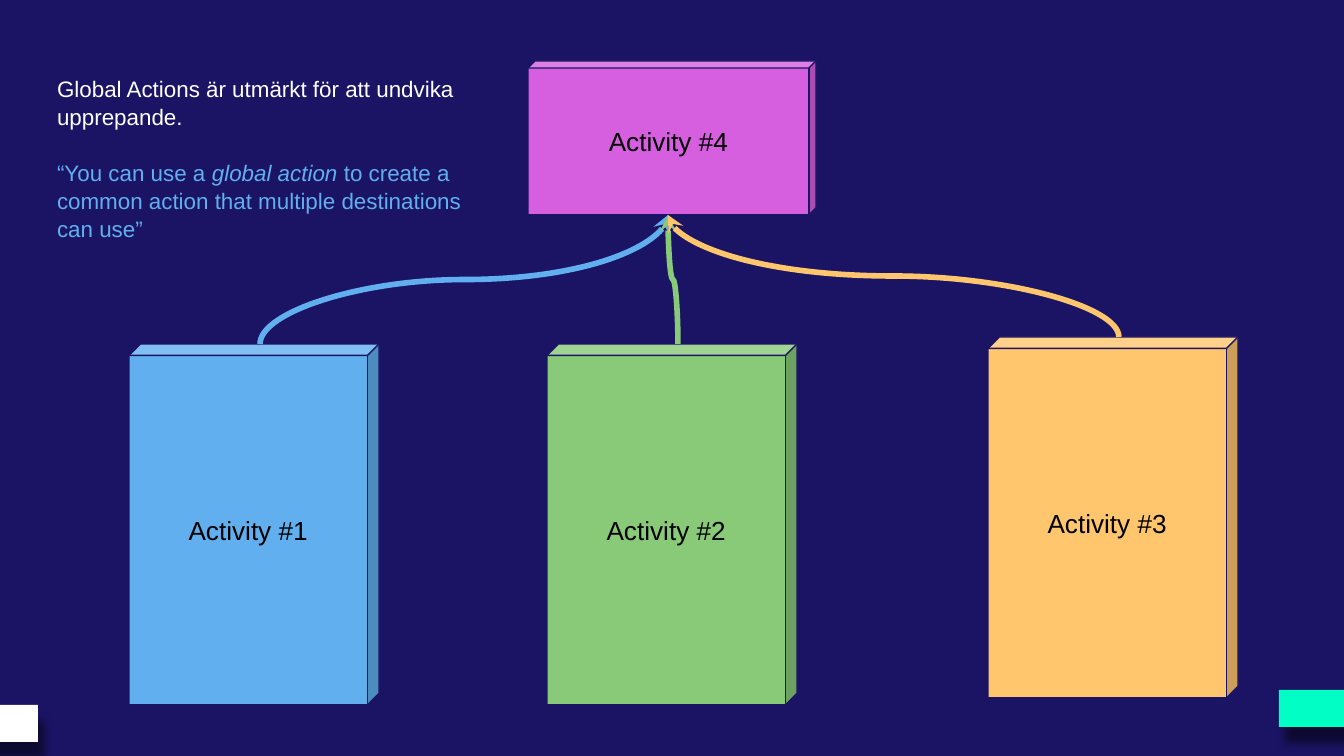
from dataclasses import dataclass

from lxml import etree
from pptx import Presentation
from pptx.dml.color import RGBColor
from pptx.enum import shapes, text
from pptx.oxml import ns
from pptx.util import Pt

EMU_PER_PX = 9144000 / 1344
CUBE_DEPTH = 0.046


@dataclass(frozen=True)
class Theme:
    font: str = "Arial"
    label_size: int = 14
    note_size: int = 12
    navy: str = "1B1464"
    mint: str = "00FFC5"
    white: str = "FFFFFF"
    black: str = "000000"
    blue: str = "61AFEF"
    orange: str = "FFC66D"
    green: str = "89CA78"
    violet: str = "D55FDE"


THEME = Theme()


def px(length):
    return round(length * EMU_PER_PX)


def paint(fill, color):
    fill.solid()
    fill.fore_color.rgb = RGBColor.from_string(color)


def add_child(parent, tag, **attributes):
    return etree.SubElement(parent, ns.qn(tag), attributes)


def add_span(para, words, size, color, italic=False):
    span = para.add_run()
    span.text = words
    span.font.name = THEME.font
    span.font.size = Pt(size)
    span.font.italic = italic
    span.font.color.rgb = RGBColor.from_string(color)


def set_insets(frame):
    frame.word_wrap = True
    frame.margin_left = frame.margin_right = px(13)
    frame.margin_top = frame.margin_bottom = px(13)


def add_block(page, kind, bounds, color):
    block = page.shapes.add_shape(kind, *map(px, bounds))
    block.shadow.inherit = False
    paint(block.fill, color)
    return block


def add_corner_tab(page, left, top, color):
    tab = add_block(page, shapes.MSO_SHAPE.RECTANGLE, (left, top, 98, 37), color)
    tab.line.fill.background()
    effects = tab._element.spPr.find(ns.qn("a:effectLst"))
    shadow = add_child(effects, "a:outerShdw", blurRad=str(Pt(4.5)), dist=str(Pt(9)),
                       dir=str(70 * 60000), algn="bl", rotWithShape="0")
    shade = add_child(shadow, "a:srgbClr", val=THEME.black)
    add_child(shade, "a:alpha", val="50000")


def add_activity(page, number, bounds, color):
    cube = add_block(page, shapes.MSO_SHAPE.CUBE, bounds, color)
    cube.adjustments[0] = CUBE_DEPTH
    cube.line.color.rgb = RGBColor.from_string(THEME.navy)
    cube.line.width = Pt(0.75)
    frame = cube.text_frame
    set_insets(frame)
    frame.vertical_anchor = text.MSO_ANCHOR.MIDDLE
    para = frame.paragraphs[0]
    para.alignment = text.PP_ALIGN.CENTER
    add_span(para, f"Activity #{number}", THEME.label_size, THEME.black)


def top_joint(bounds):
    left, top, width, height = bounds
    return round(left + (width + CUBE_DEPTH * min(width, height)) / 2), top


def bottom_joint(bounds):
    left, top, width, height = bounds
    return round(left + (width - CUBE_DEPTH * min(width, height)) / 2), top + height


def add_curved_arrow(page, start, end, color):
    across, rise = end[0] - start[0], start[1] - end[1]
    middle_x, middle_y = (start[0] + end[0]) / 2, (start[1] + end[1]) / 2
    heading = 1 if across > 0 else -1
    half_width, half_height = heading * rise / 2, abs(across) / 2
    arrow = page.shapes.add_connector(
        shapes.MSO_CONNECTOR.CURVE,
        px(middle_x - half_width), px(middle_y - half_height),
        px(middle_x + half_width), px(middle_y + half_height))
    properties = arrow._element.spPr
    properties.xfrm.set("rot", str((270 if heading > 0 else 90) * 60000))
    arrow.line.color.rgb = RGBColor.from_string(color)
    arrow.line.width = Pt(3)
    add_child(arrow.line._get_or_add_ln(), "a:tailEnd", type="stealth", w="med", len="med")
    add_child(properties, "a:effectLst")


def add_note(page):
    box = page.shapes.add_textbox(*map(px, (44, 61, 437, 189)))
    frame = box.text_frame
    set_insets(frame)
    frame.auto_size = text.MSO_AUTO_SIZE.SHAPE_TO_FIT_TEXT
    intro = frame.paragraphs[0]
    add_span(intro, "Global Actions är utmärkt för att undvika upprepande.",
             THEME.note_size, THEME.white)
    quote = frame.add_paragraph()
    quote.space_before = Pt(14.5)
    for words, italic in (
        ("“You can use a ", False),
        ("global action", True),
        (" to create a common action that multiple destinations can use”", False),
    ):
        add_span(quote, words, THEME.note_size, THEME.blue, italic)
    for para in frame.paragraphs:
        para.line_spacing = 1.05


def main():
    deck = Presentation()
    deck.slide_width, deck.slide_height = px(1344), px(756)
    page = deck.slides.add_slide(deck.slide_layouts[6])
    paint(page.background.fill, THEME.navy)

    add_corner_tab(page, 1279, 690, THEME.mint)
    add_corner_tab(page, -60, 705, THEME.white)

    sources = (
        (1, (129, 344, 250, 361), THEME.blue),
        (2, (547, 344, 250, 361), THEME.green),
        (3, (988, 337, 250, 361), THEME.orange),
    )
    target = (528, 61, 288, 154)
    for number, bounds, color in sources:
        add_activity(page, number, bounds, color)
    add_activity(page, 4, target, THEME.violet)
    for _, bounds, color in sources:
        add_curved_arrow(page, top_joint(bounds), bottom_joint(target), color)

    add_note(page)
    deck.save("out.pptx")


if __name__ == "__main__":
    main()
